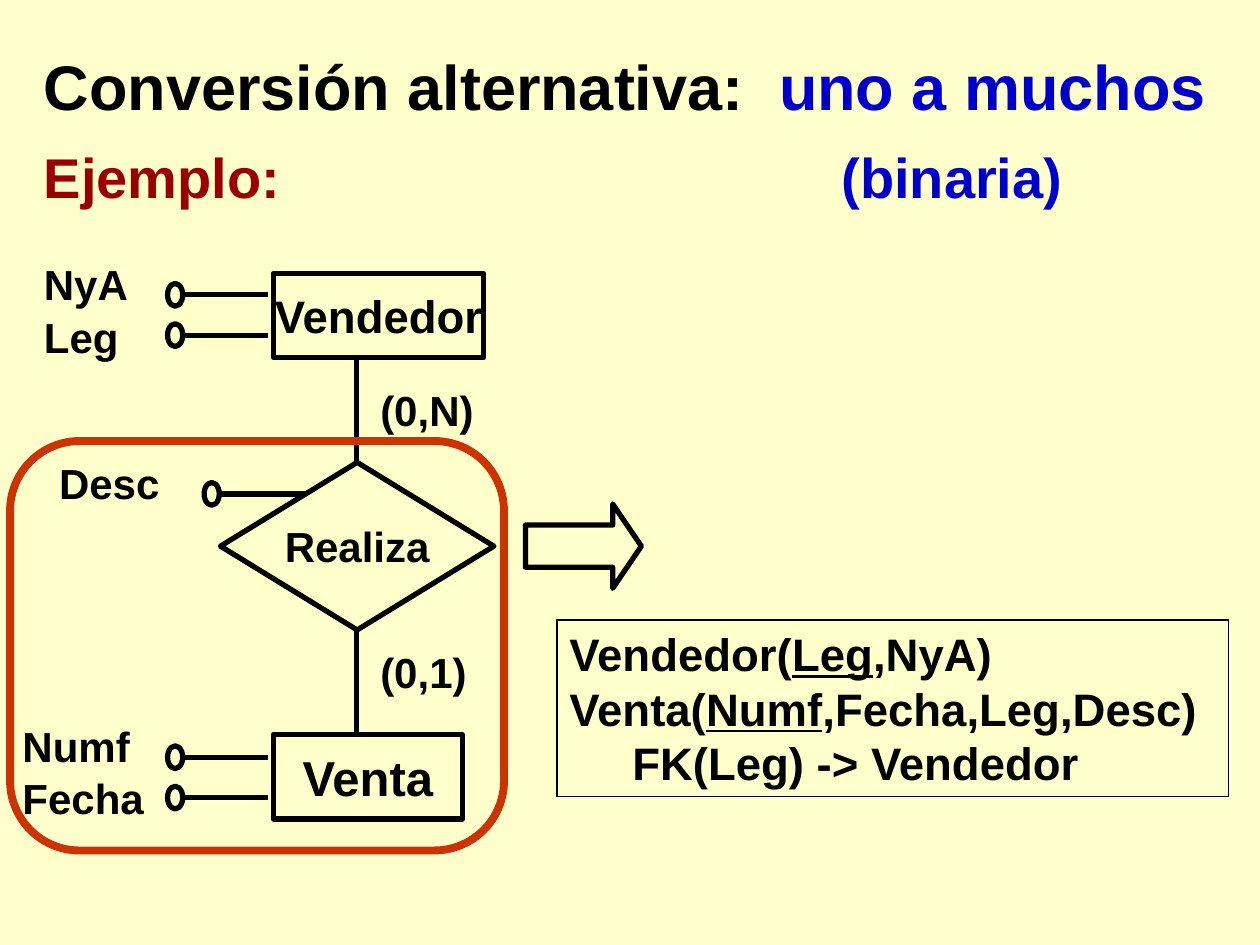
from pptx import Presentation
from pptx.dml.color import RGBColor
from pptx.enum.shapes import MSO_CONNECTOR, MSO_SHAPE
from pptx.enum.text import MSO_ANCHOR, PP_ALIGN
from pptx.oxml.ns import qn
from pptx.util import Inches, Pt
from lxml import etree

RECT, DIAMOND, OVAL = MSO_SHAPE.RECTANGLE, MSO_SHAPE.DIAMOND, MSO_SHAPE.OVAL
ARROW, ROUNDED = MSO_SHAPE.RIGHT_ARROW, MSO_SHAPE.ROUNDED_RECTANGLE
STRAIGHT = MSO_CONNECTOR.STRAIGHT
TOP, MIDDLE = MSO_ANCHOR.TOP, MSO_ANCHOR.MIDDLE
LEFT, CENTER = PP_ALIGN.LEFT, PP_ALIGN.CENTER

THEME = {
    "font": "Arial",
    "paper": "FFFFCC", "ink": "000000", "blue": "0000CC",
    "red": "990000", "frame": "CC3300",
    "title": 36, "subtitle": 32, "label": 24, "schema": 26,
    "thin": 0.75, "line": 3, "thick": 4.5,
}

# Content: a paragraph is a list of (text, colour, underlined) runs
HEADINGS = [  # box, size, runs
    ((0.25, 0.33, 9.5, 0.7), "title",
     [("Conversión alternativa:  ", "ink", False), ("uno a muchos", "blue", False)]),
    ((0.25, 1.08, 2.17, 0.64), "subtitle", [("Ejemplo:", "red", False)]),
    ((6.58, 1.08, 2.25, 0.64), "subtitle", [("(binaria)", "blue", False)]),
]
NODES = [  # preset, box, name, type size
    (RECT, (2.17, 2.17, 1.67, 0.67), "Vendedor", 26),
    (RECT, (2.17, 5.83, 1.5, 0.67), "Venta", 28),
    (DIAMOND, (1.75, 3.67, 2.17, 1.33), "Realiza", 24),
]
ATTRIBUTES = [  # name, label left and top, circle left and centre height
    ("NyA", 0.25, 2.0, 1.33, 2.34),
    ("Leg", 0.25, 2.42, 1.33, 2.66),
    ("Numf", 0.08, 5.67, 1.33, 6.01),
    ("Fecha", 0.08, 6.08, 1.33, 6.33),
    ("Desc", 0.37, 3.58, 1.62, 3.92),
]
CARDINALITIES = [  # name, label top, link start and end height
    ("(0,N)", 3.0, 2.83, 3.67),
    ("(0,1)", 5.08, 5.0, 5.83),
]
SCHEMA = [  # indent, runs
    (0, [("Vendedor(", "ink", False), ("Leg", "ink", True), (",NyA)", "ink", False)]),
    (0, [("Venta(", "ink", False), ("Numf", "ink", True),
         (",Fecha,Leg,Desc)", "ink", False)]),
    (0.5, [("FK(Leg) -> Vendedor", "ink", False)]),
]

LABEL_SIZE = (1.25, 0.5)
CIRCLE_W, CIRCLE_H, STEM = 0.12, 0.18, 0.68
AXIS_X, CARDINALITY_X = 2.83, 2.92

prs = Presentation()
prs.slide_width, prs.slide_height = Inches(10), Inches(7.5)
slide = prs.slides.add_slide(prs.slide_layouts[6])


def color(key):
    return RGBColor.from_string(THEME[key])


def write(frame, paragraphs, size, align=LEFT, anchor=TOP, wrap=True):
    frame.word_wrap = wrap
    frame.vertical_anchor = anchor
    for i, (indent, runs) in enumerate(paragraphs):
        paragraph = frame.add_paragraph() if i else frame.paragraphs[0]
        paragraph.alignment = align
        if indent:
            paragraph._p.get_or_add_pPr().set("marL", str(Inches(indent)))
        for text, ink, underlined in runs:
            run = paragraph.add_run()
            run.text = text
            run.font.name, run.font.size = THEME["font"], Pt(size)
            run.font.bold, run.font.underline = True, underlined
            run.font.color.rgb = color(ink)


def text_box(box, runs, size):
    frame = slide.shapes.add_textbox(*map(Inches, box)).text_frame
    write(frame, [(0, runs)], THEME[size])


def outline(preset, box, ink="ink", weight="line"):
    shape = slide.shapes.add_shape(preset, *map(Inches, box))
    shape.shadow.inherit = False
    shape.fill.background()
    shape.line.color.rgb = color(ink)
    shape.line.width = Pt(THEME[weight])
    return shape


def link(x1, y1, x2, y2):
    line = slide.shapes.add_connector(STRAIGHT, *map(Inches, (x1, y1, x2, y2)))
    line.line.color.rgb = color("ink")
    line.line.width = Pt(THEME["line"])
    etree.SubElement(line._element.spPr, qn("a:effectLst"))


slide.background.fill.solid()
slide.background.fill.fore_color.rgb = color("paper")

# Headings
for box, size, runs in HEADINGS:
    text_box(box, runs, size)

# Entities and relationship
for preset, box, name, size in NODES:
    node = outline(preset, box)
    write(node.text_frame, [(0, [(name, "ink", False)])], size, CENTER, MIDDLE, False)

# Attributes: label, circle and stem
for name, left, top, circle_x, y in ATTRIBUTES:
    text_box((left, top, *LABEL_SIZE), [(name, "ink", False)], "label")
    stem_x = circle_x + CIRCLE_W
    link(stem_x, y, stem_x + STEM, y)
    outline(OVAL, (circle_x, y - CIRCLE_H / 2, CIRCLE_W, CIRCLE_H))

# Links with their cardinalities
for name, top, start, end in CARDINALITIES:
    link(AXIS_X, start, AXIS_X, end)
    text_box((CARDINALITY_X, top, 1, 0.5), [(name, "ink", False)], "label")

# Conversion arrow and resulting schema
arrow = outline(ARROW, (4.17, 4, 0.92, 0.67))
arrow.adjustments[1] = 0.34
schema = outline(RECT, (4.42, 4.92, 5.33, 1.4), weight="thin")
write(schema.text_frame, SCHEMA, THEME["schema"])

# Frame around the part that becomes one table
merged = outline(ROUNDED, (0.08, 3.5, 3.92, 3.25), "frame", "thick")
merged.adjustments[0] = 0.17

prs.save("out.pptx")
